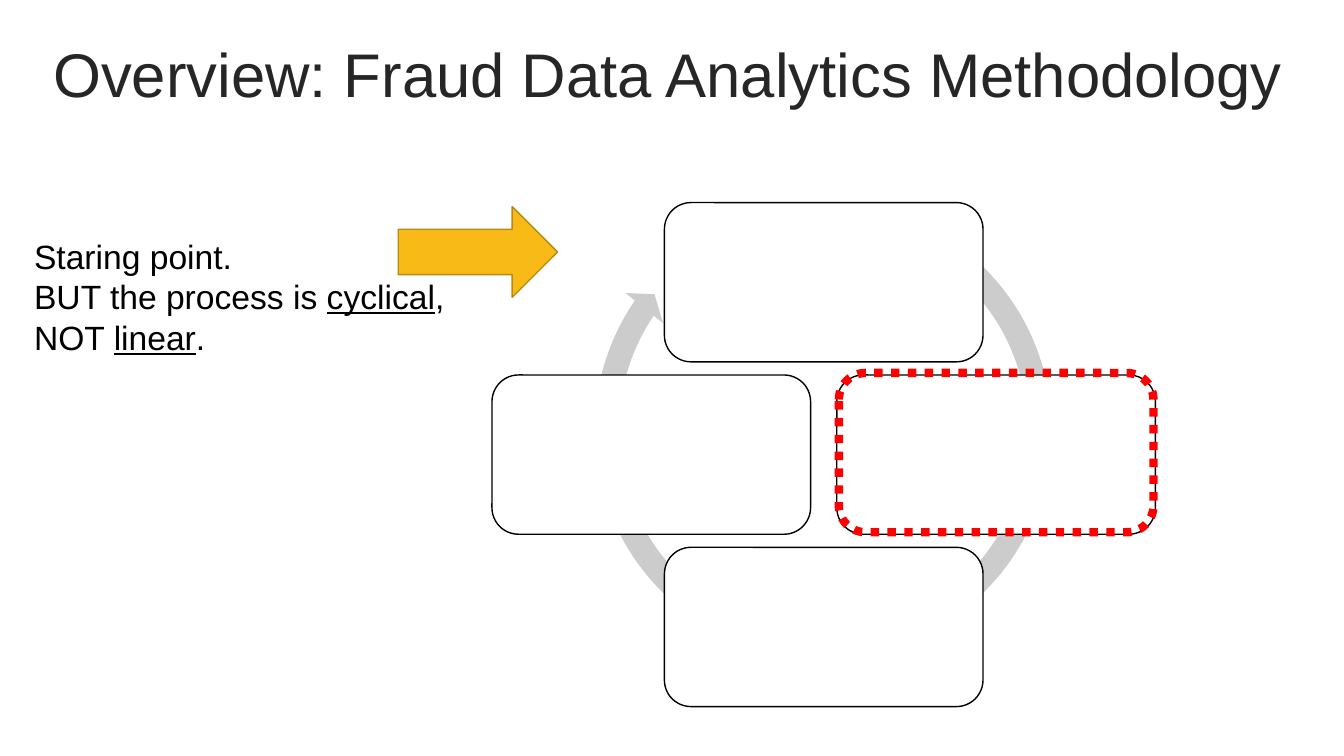
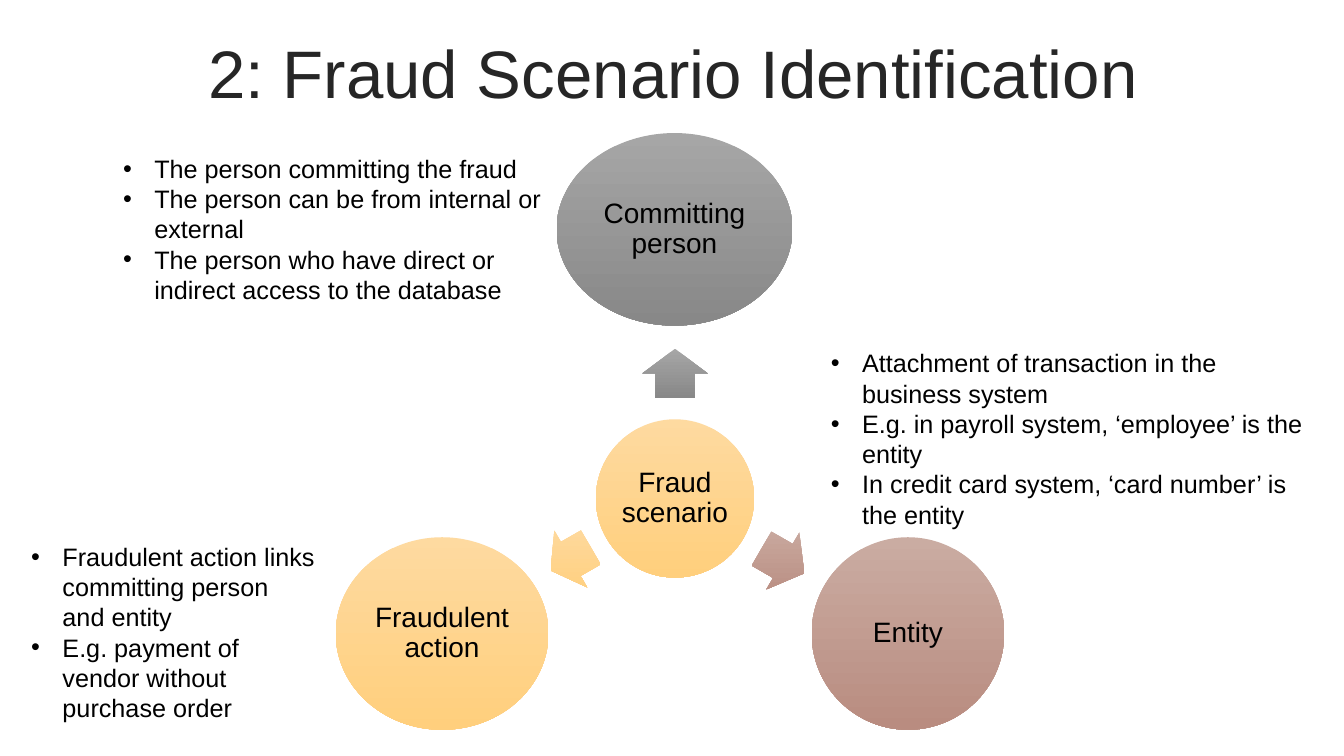
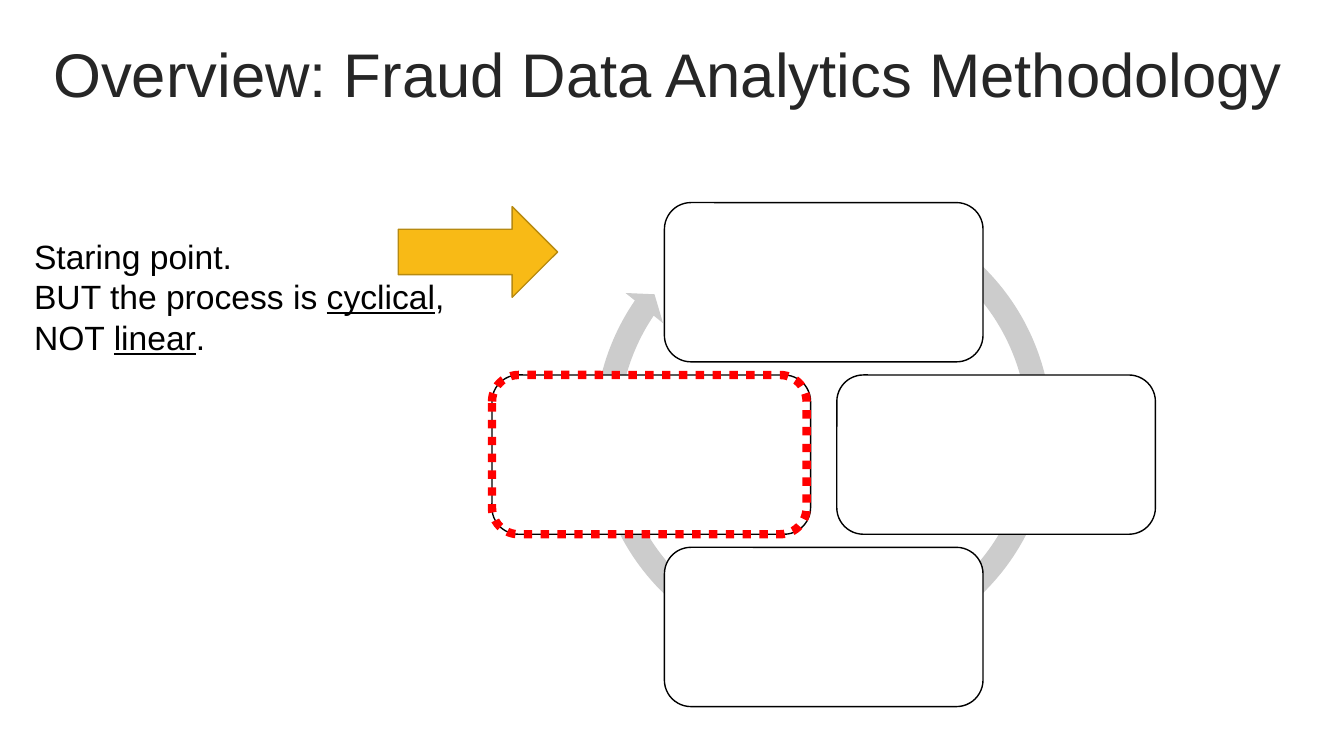
from lxml import etree
from pptx import Presentation, util as u
from pptx.dml.color import RGBColor
from pptx.enum import dml, shapes, text
from pptx.oxml import ns

KIND = shapes.MSO_SHAPE
HUES = {
    "ink": "000000", "title": "262626", "paper": "FFFFFF", "ring": "CCCCCC",
    "gold": "F8BA16", "edge": "B78A10", "mark": "FF0000",
    "grey": ("A6A6A6", "888888"),
    "amber": ("FEDAA0", "FFCF7D"),
    "brown": ("CAACA2", "B98C80"),
}


class Deck:
    """Holds the shared style and the slide being built."""

    def __init__(self):
        self.prs = Presentation()
        self.prs.slide_width = u.Inches(13.33)
        self.prs.slide_height = u.Inches(7.5)
        self.slide = None

    def rgb(self, hue):
        return RGBColor.from_string(HUES.get(hue, hue))

    def apply(self, item, form):
        for key, val in form.items():
            setattr(item, key, val)

    def place(self, item, box):
        keys = ("left", "top", "width", "height")
        self.apply(item, dict(zip(keys, map(u.Inches, box))))

    def frame(self, item, anchor, inset=None):
        form = {"word_wrap": True, "vertical_anchor": anchor,
                "auto_size": text.MSO_AUTO_SIZE.NONE}
        if inset is not None:
            sides = ("left", "top", "right", "bottom")
            form.update({f"margin_{s}": u.Inches(inset) for s in sides})
        self.apply(item.text_frame, form)
        return item.text_frame

    def style(self, para, size, hue="ink", **form):
        self.apply(para, {"space_before": u.Pt(0), **form})
        self.apply(para.font, {"name": "Arial", "size": u.Pt(size), "bold": False})
        para.font.color.rgb = self.rgb(hue)

    def page(self, title, box, size, layout=5):
        self.slide = self.prs.slides.add_slide(self.prs.slide_layouts[layout])
        head = self.slide.shapes.title
        self.place(head, box)
        para = self.frame(head, text.MSO_ANCHOR.MIDDLE).paragraphs[0]
        para.text = title
        self.style(para, size, "title", alignment=text.PP_ALIGN.CENTER,
                   line_spacing=0.9)

    def shape(self, kind, box, fill=None, line=None, width=1, dash=None,
              turn=0, adj=()):
        item = self.slide.shapes.add_shape(kind, *map(u.Inches, box))
        item.shadow.inherit = False
        item.rotation = turn
        for num, val in enumerate(adj):
            item.adjustments[num] = val
        if fill is None:
            item.fill.background()
        elif isinstance(HUES[fill], tuple):
            item.fill.gradient()
            item.fill.gradient_angle = 270
            for stop, hue in zip(item.fill.gradient_stops, HUES[fill]):
                stop.color.rgb = self.rgb(hue)
            grad = item._element.spPr.find(ns.qn("a:gradFill"))
            grad.set("rotWithShape", "0")
        else:
            item.fill.solid()
            item.fill.fore_color.rgb = self.rgb(fill)
        if line is None:
            item.line.fill.background()
        else:
            item.line.color.rgb = self.rgb(line)
            self.apply(item.line, {"width": u.Pt(width), "dash_style": dash})
        return item

    def disc(self, label, box, fill):
        item = self.shape(KIND.OVAL, box, fill)
        para = self.frame(item, text.MSO_ANCHOR.MIDDLE, 0).paragraphs[0]
        para.text = label
        self.style(para, 20, alignment=text.PP_ALIGN.CENTER,
                   line_spacing=0.9, space_after=u.Pt(7))

    def note(self, lines, box):
        item = self.slide.shapes.add_textbox(*map(u.Inches, box))
        body = self.frame(item, text.MSO_ANCHOR.TOP)
        for num, line in enumerate(lines):
            para = body.add_paragraph() if num else body.paragraphs[0]
            self.style(para, 24)
            for odd, part in enumerate(line.split("_")):
                run = para.add_run()
                run.text = part
                run.font.underline = odd % 2 == 1

    def bullets(self, hold, lines, box):
        self.place(hold, box)
        body = self.frame(hold, text.MSO_ANCHOR.TOP)
        for num, line in enumerate(lines):
            para = body.add_paragraph() if num else body.paragraphs[0]
            para.text = line
            prop = para._p.get_or_add_pPr()
            prop.set("marL", str(u.Inches(0.31)))
            prop.set("indent", str(u.Inches(-0.31)))
            etree.SubElement(prop, ns.qn("a:buFont")).set("typeface", "Arial")
            etree.SubElement(prop, ns.qn("a:buChar")).set("char", "•")
            self.style(para, 18)

    def cycle(self, mark):
        self.page("Overview: Fraud Data Analytics Methodology",
                  (0, 0.37, 13.26, 0.79), 44)
        self.shape(KIND.CIRCULAR_ARROW, (5.78, 1.88, 4.77, 4.77), "ring",
                   adj=(0.05, 2.73, 128.55, 180.14, 0.05))
        for col, row in ((0, -1), (1, 0), (0, 1), (-1, 0)):
            box = (6.59 + 1.71 * col, 3.72 + 1.71 * row, 3.16, 1.58)
            self.shape(KIND.ROUNDED_RECTANGLE, box, "paper", "ink")
        self.shape(KIND.RIGHT_ARROW, (3.95, 2.05, 1.58, 0.9), "gold", "edge")
        self.note(("Staring point.", "BUT the process is _cyclical_,",
                   "NOT _linear_."), (0.24, 2.29, 4.7, 1.31))
        self.shape(KIND.ROUNDED_RECTANGLE, (*mark, 3.12, 1.58), None, "mark",
                   6, dml.MSO_LINE.ROUND_DOT)

    def scene(self):
        self.page("2: Fraud Scenario Identification",
                  (0.35, 0.37, 12.66, 0.79), 48, 4)
        self.disc("Fraud scenario", (5.91, 4.16, 1.57, 1.57), "amber")
        parts = (
            ("Committing person", "grey", (5.52, 1.32, 2.34, 1.91),
             (6.45, 3.38, 0.49, 0.65), 270),
            ("Entity", "brown", (8.05, 5.33, 1.91, 1.91),
             (7.52, 5.24, 0.49, 0.65), 30),
            ("Fraudulent action", "amber", (3.33, 5.33, 2.11, 1.91),
             (5.43, 5.22, 0.46, 0.65), 150),
        )
        for label, hue, box, tip, turn in parts:
            self.shape(KIND.RIGHT_ARROW, tip, hue, turn=turn, adj=(0.6, 0.5))
            self.disc(label, box, hue)
        lists = (
            (("The person committing the fraud",
              "The person can be from internal or external",
              "The person who have direct or indirect access to the database"),
             (1.12, 1.47, 4.55, 1.62)),
            (("Attachment of transaction in the business system",
              "E.g. in payroll system, ‘employee’ is the entity",
              "In credit card system, ‘card number’ is the entity"),
             (8.14, 3.4, 4.99, 1.92)),
            (("Fraudulent action links committing person and entity",
              "E.g. payment of vendor without purchase order"),
             (0.21, 5.32, 3.02, 1.92)),
        )
        *holds, spare = list(self.slide.placeholders)[1:]
        for hold, (lines, box) in zip(holds, lists):
            self.bullets(hold, lines, box)
        spare._element.getparent().remove(spare._element)


def main():
    deck = Deck()
    deck.cycle((8.32, 3.7))
    deck.scene()
    deck.cycle((4.88, 3.72))
    deck.prs.save("out.pptx")


if __name__ == "__main__":
    main()
